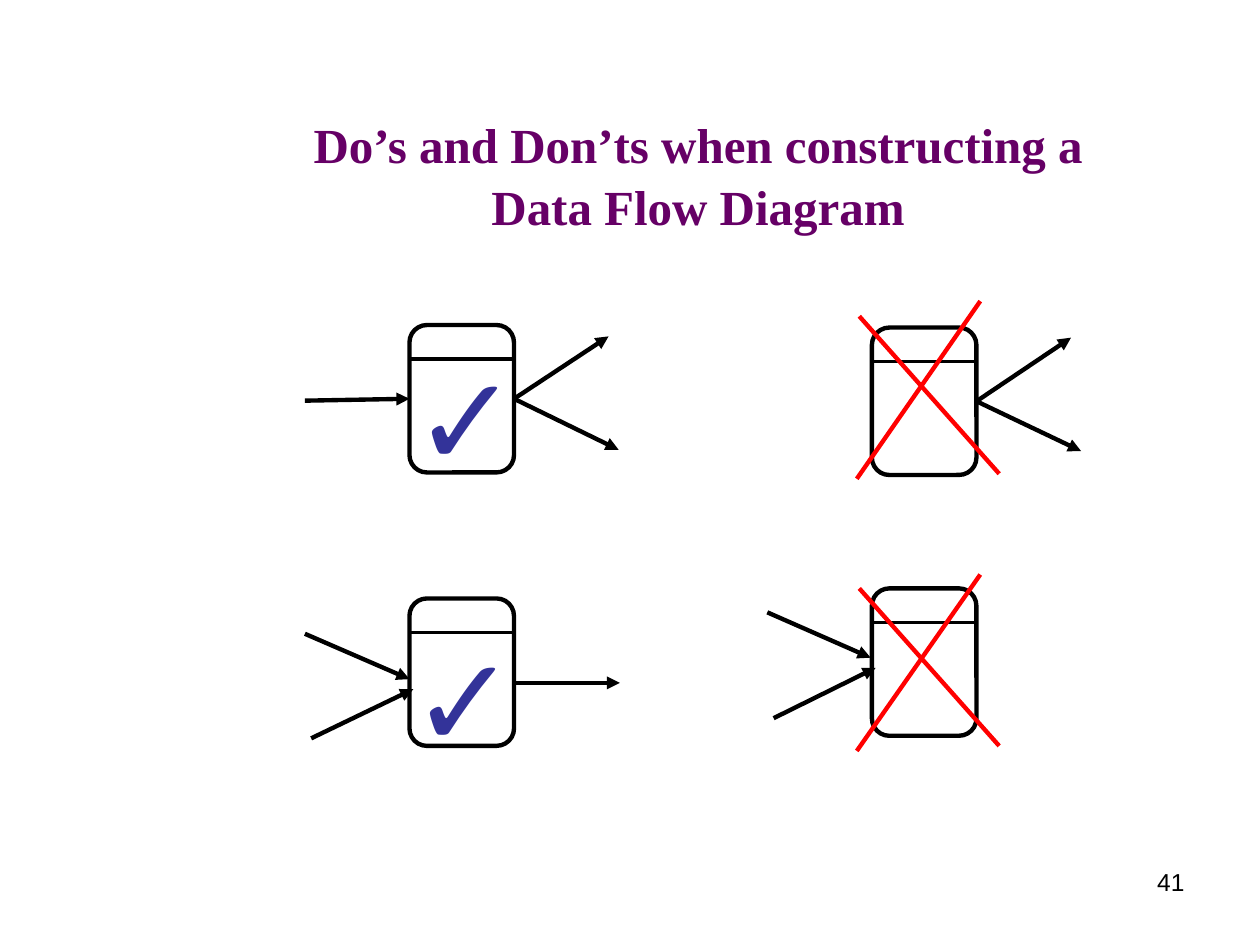
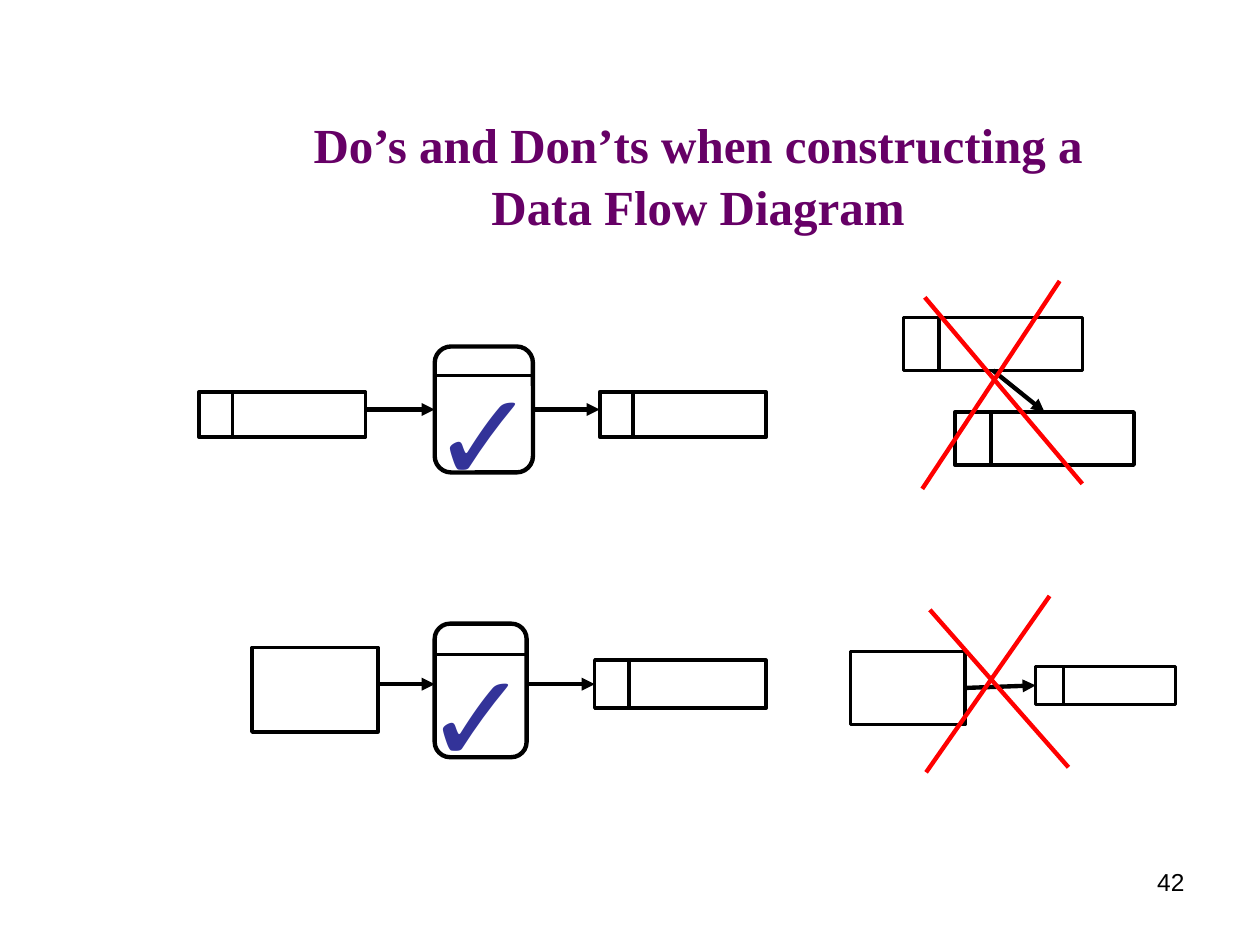
"""Build two slides of data flow diagram do's and don'ts."""
import pptx
import pptx.dml.color
import pptx.enum.shapes
import pptx.enum.text
import pptx.oxml.ns
import pptx.oxml.xmlchemy
import pptx.util

Inches = pptx.util.Inches
Shape = pptx.enum.shapes.MSO_SHAPE
Align = pptx.enum.text.PP_ALIGN
Anchor = pptx.enum.text.MSO_ANCHOR

BLACK, WHITE, RED, PURPLE, BLUE = "000000", "FFFFFF", "FF0000", "660066", "333399"
TITLE = "Do’s and Don’ts when constructing a Data Flow Diagram"
PROCESS_WIDTH, THIN, THICK = 0.83, 2, 2.5
GLUE_REACH = 0.03


def color(hex_code):
    return pptx.dml.color.RGBColor.from_string(hex_code)


def write(box, text, size, hex_code, font="Arial", bold=False, align=Align.LEFT,
          anchor=Anchor.TOP, spacing=1.0):
    frame = box.text_frame
    frame.word_wrap = True
    frame.auto_size = pptx.enum.text.MSO_AUTO_SIZE.NONE
    frame.vertical_anchor = anchor
    frame.margin_left = frame.margin_right = Inches(0.1)
    frame.margin_top = frame.margin_bottom = Inches(0.05)
    para = frame.paragraphs[0]
    para.alignment = align
    para.line_spacing = spacing
    span = para.add_run()
    span.text = text
    span.font.name = font
    span.font.size = pptx.util.Pt(size)
    span.font.bold = bold
    span.font.color.rgb = color(hex_code)


slides = [
    {
        "number": "41",
        "processes": [(left, top, PROCESS_WIDTH, 1.17) for left, top in
                      [(6.92, 2.6), (6.92, 4.67), (3.25, 2.58), (3.25, 4.75)]],
        "stores": [],
        "entities": [],
        "flows": [(7.75, 3.2, 8.58, 3.58), (7.75, 3.18, 8.5, 2.68),
                  (6.14, 5.7, 6.95, 5.3), (6.09, 4.86, 6.91, 5.22),
                  (4.08, 3.18, 4.91, 3.57), (4.08, 3.17, 4.83, 2.67),
                  (2.42, 3.18, 3.25, 3.18), (4.08, 5.42, 4.92, 5.42),
                  (2.47, 5.86, 3.28, 5.47), (2.42, 5.03, 3.25, 5.39)],
        "crosses": [(6.82, 2.51, 7.93, 3.76), (7.78, 2.39, 6.8, 3.8),
                    (6.82, 4.67, 7.93, 5.92), (7.78, 4.56, 6.8, 5.96)],
        "checks": [(3.18, 2.65, 0.84), (3.17, 4.88, 0.84)],
    },
    {
        "number": "42",
        "processes": [(3.45, 4.95, 0.73, 1.06), (3.45, 2.75, 0.78, 1)],
        "stores": [(7.17, 2.52, 1.42, 0.42), (7.58, 3.27, 1.42, 0.42),
                   (8.22, 5.29, 1.11, 0.3), (4.72, 5.24, 1.36, 0.38),
                   (4.76, 3.11, 1.32, 0.36), (1.58, 3.11, 1.32, 0.36)],
        "entities": [(6.75, 5.17, 0.91, 0.58), (2, 5.14, 1, 0.67)],
        "flows": [(7.87, 2.95, 8.29, 3.25), (7.64, 5.45, 8.22, 5.45),
                  (3, 5.43, 3.45, 5.43), (4.18, 5.43, 4.72, 5.43),
                  (2.9, 3.25, 3.44, 3.25), (4.22, 3.25, 4.76, 3.25)],
        "crosses": [(7.34, 2.36, 8.59, 3.84), (8.41, 2.23, 7.32, 3.88),
                    (7.38, 4.84, 8.48, 6.09), (8.33, 4.73, 7.35, 6.13)],
        "checks": [(3.27, 5.01, 1), (3.33, 2.78, 0.92)],
    },
]

deck = pptx.Presentation()
deck.slide_width, deck.slide_height = Inches(10), Inches(7.5)

for content in slides:
    page = deck.slides.add_slide(deck.slide_layouts[5])
    title = page.shapes.title
    title.left, title.top = Inches(2), Inches(0.83)
    title.width, title.height = Inches(7.08), Inches(1.04)
    write(title, TITLE, 28, PURPLE, font="Times New Roman", bold=True,
          align=Align.CENTER, spacing=1.06)

    lines = []
    glue_points = []
    for kind, preset, weight in [
        ("processes", Shape.FLOWCHART_ALTERNATE_PROCESS, THICK),
        ("stores", Shape.FLOWCHART_PROCESS, THIN),
        ("entities", Shape.RECTANGLE, THIN),
    ]:
        for left, top, width, height in content[kind]:
            node = page.shapes.add_shape(preset, Inches(left), Inches(top),
                                         Inches(width), Inches(height))
            node.shadow.inherit = False
            node.fill.solid()
            node.fill.fore_color.rgb = color(WHITE)
            node.line.color.rgb = color(BLACK)
            node.line.width = pptx.util.Pt(weight)
            right, bottom = left + width, top + height
            center, middle = left + width / 2, top + height / 2
            sides = [(center, top), (left, middle), (center, bottom), (right, middle)]
            glue_points += [(x, y, node, side) for side, (x, y) in enumerate(sides)]
            if kind == "processes":
                divider = top + 0.23 * height
                lines.append(((left, divider, right, divider), BLACK, THIN, False))
            elif kind == "stores":
                divider = left + 0.2 * width
                lines.append(((divider, top, divider, bottom), BLACK, THIN, False))

    lines += [(ends, BLACK, THICK, True) for ends in content["flows"]]
    lines += [(ends, RED, THICK, False) for ends in content["crosses"]]
    for ends, hex_code, weight, is_flow in lines:
        line = page.shapes.add_connector(pptx.enum.shapes.MSO_CONNECTOR.STRAIGHT,
                                         *[Inches(value) for value in ends])
        line.line.color.rgb = color(hex_code)
        line.line.width = pptx.util.Pt(weight)
        properties = line._element.spPr
        if is_flow:
            arrow = pptx.oxml.xmlchemy.OxmlElement("a:tailEnd")
            arrow.set("type", "triangle")
            properties.find(pptx.oxml.ns.qn("a:ln")).append(arrow)
            for x, y, node, side in glue_points:
                if max(abs(x - ends[0]), abs(y - ends[1])) < GLUE_REACH:
                    line.begin_connect(node, side)
                if max(abs(x - ends[2]), abs(y - ends[3])) < GLUE_REACH:
                    line.end_connect(node, side)
        properties.append(pptx.oxml.xmlchemy.OxmlElement("a:effectLst"))

    for left, top, width in content["checks"]:
        check = page.shapes.add_textbox(Inches(left), Inches(top), Inches(width), Inches(1.3))
        write(check, "✓", 72, BLUE, anchor=Anchor.MIDDLE)

    footer = page.shapes.add_textbox(Inches(7.17), Inches(6.83), Inches(2.33), Inches(0.52))
    write(footer, content["number"], 14, BLACK, align=Align.RIGHT)

deck.save("out.pptx")
